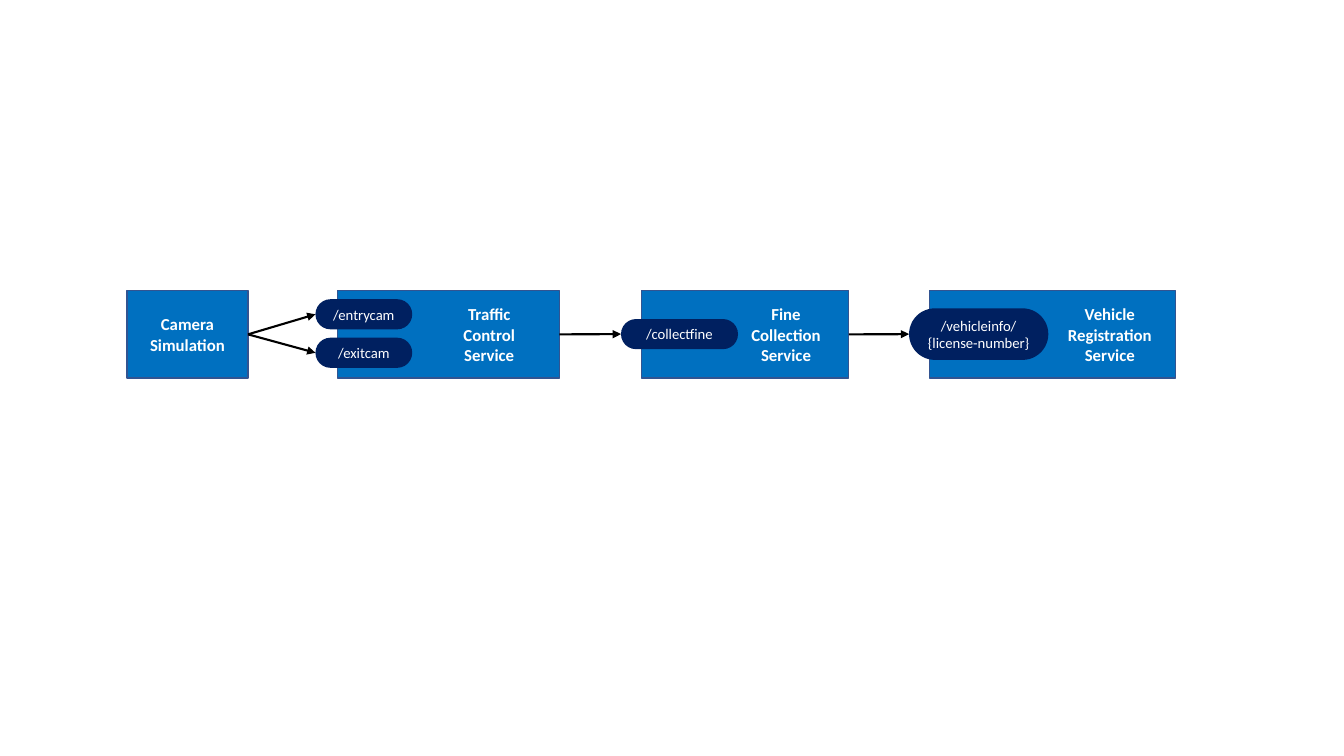
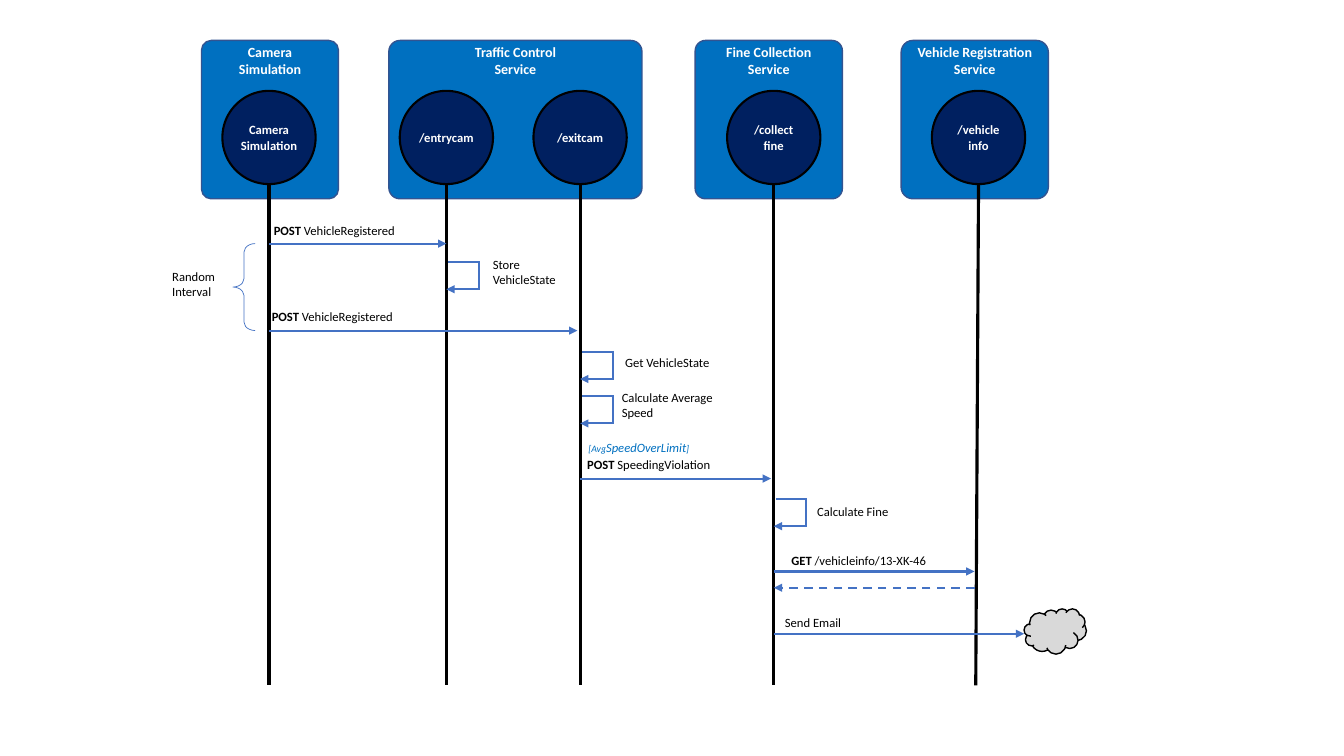
"""Build two slides on a traffic control system: its services and their calls."""
import dataclasses

import pptx
import pptx.dml.color
import pptx.enum.dml
import pptx.enum.shapes
import pptx.enum.text
import pptx.oxml
import pptx.oxml.ns
import pptx.util

Cm = pptx.util.Cm
SHAPE = pptx.enum.shapes.MSO_SHAPE
ALIGN = pptx.enum.text.PP_ALIGN
ANCHOR = pptx.enum.text.MSO_ANCHOR


@dataclasses.dataclass(frozen=True)
class Theme:
    """Hold the colours, type sizes and line widths of both slides."""
    font: str = "Calibri"
    blue: str = "0070C0"
    navy: str = "002060"
    edge: str = "325491"
    call: str = "4472C4"
    cloud: str = "D9D9D9"
    black: str = "000000"
    white: str = "FFFFFF"
    box: float = 12
    pill: float = 10.5
    card: float = 10
    note: float = 9
    small: float = 7
    thin: float = 0.5
    rim: float = 1
    rule: float = 1.5
    life: float = 2.25


THEME = Theme()


def tint(code):
    """Turn a hex code into a colour."""
    return pptx.dml.color.RGBColor.from_string(code)


def write(frame, runs, color, align=ALIGN.CENTER):
    """Write (text, size, bold, italic) runs; a line feed opens a paragraph."""
    para = frame.paragraphs[0]
    para.alignment = align
    for text, size, bold, slant in runs:
        for count, line in enumerate(text.split("\n")):
            if count:
                para = frame.add_paragraph()
                para.alignment = align
            run = para.add_run()
            run.text = line
            font = run.font
            font.name, font.size = THEME.font, pptx.util.Pt(size)
            font.bold, font.italic = bold, slant
            font.color.rgb = tint(color)


def inset(frame, left, top, right, base):
    """Set the four margins of a text frame."""
    frame.margin_left, frame.margin_top = Cm(left), Cm(top)
    frame.margin_right, frame.margin_bottom = Cm(right), Cm(base)


def form(slide, kind, place, fill=None, edge=None, width=THEME.rim):
    """Add a flat preset shape."""
    shape = slide.shapes.add_shape(kind, *map(Cm, place))
    shape.shadow.inherit = False
    if fill:
        shape.fill.solid()
        shape.fill.fore_color.rgb = tint(fill)
    else:
        shape.fill.background()
    if edge:
        shape.line.color.rgb = tint(edge)
        shape.line.width = pptx.util.Pt(width)
    else:
        shape.line.fill.background()
    return shape


def line(shapes, start, end, color, width=THEME.rule, arrow=False, dash=False):
    """Add a straight line, with an arrowhead at its end if asked."""
    link = shapes.add_connector(pptx.enum.shapes.MSO_CONNECTOR.STRAIGHT,
                                *map(Cm, (*start, *end)))
    link.line.color.rgb = tint(color)
    link.line.width = pptx.util.Pt(width)
    if dash:
        link.line.dash_style = pptx.enum.dml.MSO_LINE.DASH
    props = link._element.spPr
    if arrow:
        head = pptx.oxml.parse_xml(
            "<a:tailEnd %s type='triangle'/>" % pptx.oxml.ns.nsdecls("a"))
        props.find(pptx.oxml.ns.qn("a:ln")).append(head)
    props.append(pptx.oxml.parse_xml(
        "<a:effectLst %s/>" % pptx.oxml.ns.nsdecls("a")))
    return link


def join(slide, first, last):
    """Draw an arrow from the right side of one shape to the left of another."""
    link = line(slide.shapes, (0, 0), (0, 0), THEME.black, arrow=True)
    link.begin_connect(first, 3)
    link.end_connect(last, 1)


def box(slide, left, width, text, pad):
    """Add a service box whose text keeps clear of its pill."""
    shape = form(slide, SHAPE.RECTANGLE, (left, 7.32, width, 2.21),
                 THEME.blue, THEME.edge)
    inset(shape.text_frame, pad[0], 0.13, pad[1], 0.13)
    write(shape.text_frame, [(text, THEME.box, True, False)], THEME.white)
    return shape


def pill(slide, left, mid, width, height, text):
    """Add an endpoint pill centred on a height."""
    shape = form(slide, SHAPE.ROUNDED_RECTANGLE,
                 (left, mid - height / 2, width, height), THEME.navy)
    shape.adjustments[0] = 0.5
    write(shape.text_frame, [(text, THEME.pill, False, False)], THEME.white)
    return shape


def card(slide, left, width, bend, text):
    """Add a service card with its name at the top."""
    shape = form(slide, SHAPE.ROUNDED_RECTANGLE, (left, 1.02, width, 3.99),
                 THEME.blue, THEME.edge)
    shape.adjustments[0] = bend
    shape.text_frame.vertical_anchor = ANCHOR.TOP
    inset(shape.text_frame, 0, 0, 0, 0)
    write(shape.text_frame, [(text, THEME.card, True, False)], THEME.white)


def actor(slide, mid, foot, text):
    """Add an endpoint circle and its lifeline."""
    top, size = 2.29, 2.35
    shape = form(slide, SHAPE.OVAL, (mid - size / 2, top, size, size),
                 THEME.navy, THEME.black, THEME.rule)
    inset(shape.text_frame, 0, 0, 0, 0)
    write(shape.text_frame, [(text, THEME.note, True, False)], THEME.white)
    line(slide.shapes, (mid, top + size), (foot, 17.27), THEME.black, THEME.life)


def loop(slide, mid, top):
    """Add a call that a lifeline makes to itself."""
    shapes = slide.shapes.add_group_shape().shapes
    side, base, lap = mid + 0.82, top + 0.69, 0.02
    line(shapes, (mid + 0.05, top), (side, top), THEME.call)
    line(shapes, (side, top - lap), (side, base + lap), THEME.call)
    line(shapes, (side, base), (mid, base), THEME.call, arrow=True)


def label(slide, place, runs, color=THEME.black, align=ALIGN.LEFT):
    """Add a text box that does not wrap."""
    frame = slide.shapes.add_textbox(*map(Cm, place)).text_frame
    frame.word_wrap = False
    frame.auto_size = pptx.enum.text.MSO_AUTO_SIZE.SHAPE_TO_FIT_TEXT
    write(frame, runs, color, align)


def draw_parts(slide):
    """Draw the services and the endpoints between them."""
    mid = 8.42
    camera, traffic, fine, _ = [box(slide, *spec) for spec in (
        (3.2, 3.05, "Camera\nSimulation", (0.25, 0.25)),
        (8.5, 5.6, "Traffic\nControl\nService", (2.31, 0.25)),
        (16.17, 5.22, "Fine\nCollection\nService", (2.31, 0.25)),
        (23.42, 6.2, "Vehicle\nRegistration\nService", (2.9, 0)))]
    for source, *spec in (
            (camera, 7.95, 7.92, 2.44, 0.76, "/entrycam"),
            (camera, 7.95, 8.89, 2.44, 0.76, "/exitcam"),
            (traffic, 15.65, mid, 2.95, 0.76, "/collectfine"),
            (fine, 22.91, mid, 3.51, 1.3, "/vehicleinfo/\n{license-number}")):
        join(slide, source, pill(slide, *spec))


def draw_calls(slide):
    """Draw the sequence of calls between the services."""
    camera, entry, leave, fine, info = 6.78, 11.25, 14.62, 19.5, 24.66
    for spec in ((5.08, 3.45, 0.07, "Camera\nSimulation"),
                 (9.8, 6.38, 0.07, "Traffic Control\nService"),
                 (17.52, 3.71, 0.07, "Fine Collection\nService"),
                 (22.71, 3.71, 0.08, "Vehicle Registration\nService")):
        card(slide, *spec)
    for spec in ((camera, camera, "Camera\nSimulation"),
                 (entry, entry, "/entrycam"),
                 (leave, leave, "/exitcam"),
                 (fine, fine, "/collect\nfine"),
                 (info, 24.59, "/vehicle\ninfo")):
        actor(slide, *spec)
    form(slide, SHAPE.CLOUD, (25.81, 15.34, 1.57, 1.14),
         THEME.cloud, THEME.black)
    for start, end, top, dash in ((camera, entry, 6.14, False),
                                  (camera, 14.55, 8.33, False),
                                  (leave, 19.43, 12.06, False),
                                  (fine, 24.56, 14.4, False),
                                  (24.56, fine, 14.81, True),
                                  (fine, 25.81, 15.97, False)):
        line(slide.shapes, (start, top), (end, top), THEME.call,
             arrow=True, dash=dash)
    for spec in ((entry, 6.6), (leave, 8.86), (leave, 9.98), (fine, 12.57)):
        loop(slide, *spec)
    brace = form(slide, SHAPE.LEFT_BRACE, (5.87, 6.14, 0.56, 2.19),
                 edge=THEME.call, width=THEME.thin)
    brace.adjustments[0] = 0.38
    for place, verb, text, align in (
            ((6.65, 5.49, 3.63, 0.64), "POST ", "VehicleRegistered", ALIGN.LEFT),
            ((6.6, 7.67, 3.63, 0.64), "POST ", "VehicleRegistered", ALIGN.LEFT),
            ((14.55, 11.4, 3.66, 0.64), "POST ", "SpeedingViolation", ALIGN.LEFT),
            ((19.66, 13.82, 3.96, 0.64), "GET ", "/vehicleinfo/13-XK-46",
             ALIGN.CENTER)):
        label(slide, place, [(verb, THEME.note, True, False),
                             (text, THEME.note, False, False)], align=align)
    for place, text, align in (
            ((4.09, 6.65, 1.6, 1.02), "Random\nInterval", ALIGN.LEFT),
            ((12.17, 6.35, 2.13, 1.02), "Store\nVehicleState", ALIGN.LEFT),
            ((15.47, 8.81, 2.69, 0.64), "Get VehicleState", ALIGN.CENTER),
            ((15.42, 9.7, 2.92, 1.02), "Calculate Average\nSpeed", ALIGN.LEFT),
            ((20.32, 12.57, 2.34, 0.64), "Calculate Fine", ALIGN.CENTER),
            ((19.51, 15.37, 1.96, 0.64), "Send Email", ALIGN.CENTER)):
        label(slide, place, [(text, THEME.note, False, False)], align=align)
    label(slide, (14.58, 10.95, 3.1, 0.64),
          [("[Avg", THEME.small, False, True),
           ("SpeedOverLimit", THEME.note, False, True),
           ("]", THEME.small, False, True)], THEME.blue)


def main():
    """Build and save the deck."""
    deck = pptx.Presentation()
    deck.slide_width, deck.slide_height = Cm(33.87), Cm(19.05)
    for draw in (draw_parts, draw_calls):
        draw(deck.slides.add_slide(deck.slide_layouts[6]))
    deck.save("out.pptx")


if __name__ == "__main__":
    main()
